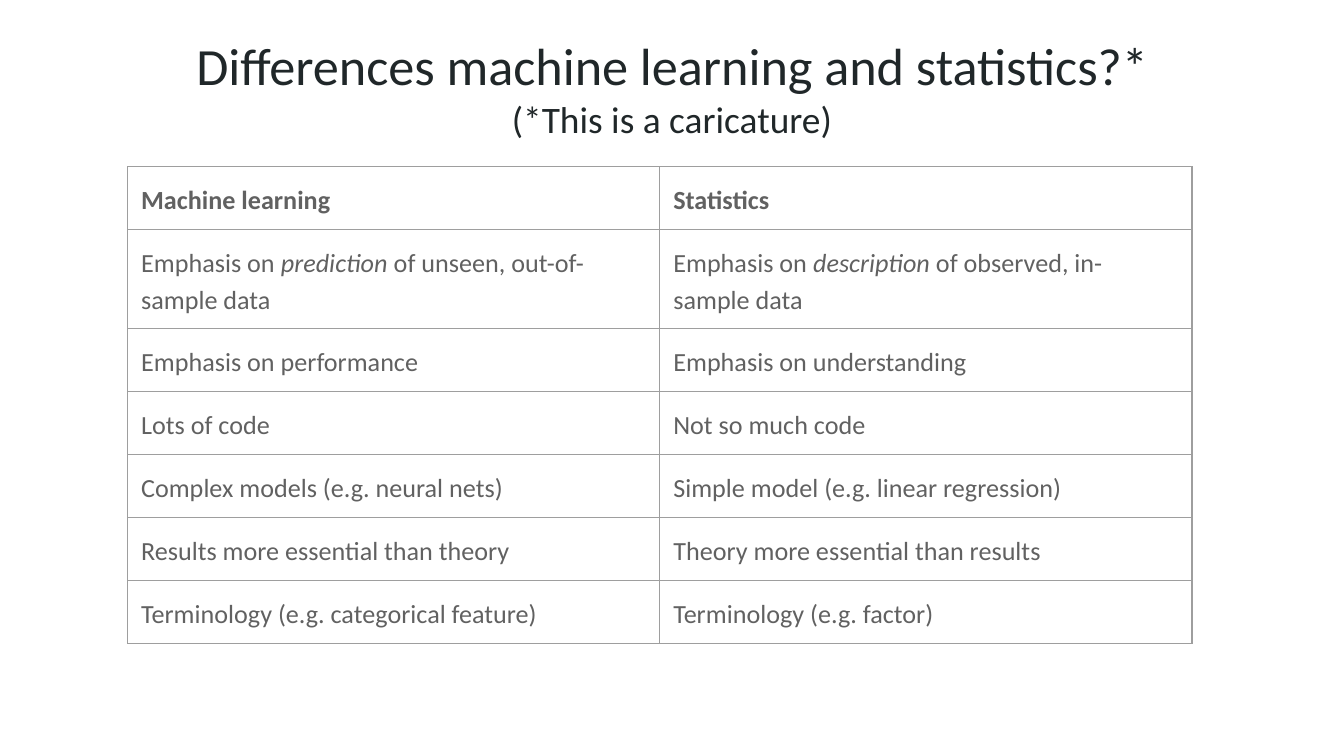
from dataclasses import dataclass

from lxml import etree
from pptx import Presentation
from pptx import util as u
from pptx.dml.color import RGBColor
from pptx.enum import text
from pptx.oxml import ns


@dataclass(frozen=True)
class Theme:
    font: str = "Calibri"
    title_color: str = "202729"
    body_color: str = "616161"
    border_color: str = "9E9E9E"
    background: str = "FFFFFF"
    title_size: float = 28
    subtitle_size: float = 20
    body_size: float = 14
    border_width: float = 0.75
    line_spacing: float = 1.15
    inset: float = 0.1


class SlideBuilder:
    def __init__(self, slide, theme):
        self.slide = slide
        self.theme = theme
        fill = slide.background.fill
        fill.solid()
        fill.fore_color.rgb = RGBColor.from_string(theme.background)

    def style(self, paragraph, size, color):
        paragraph.font.name = self.theme.font
        paragraph.font.size = u.Pt(size)
        paragraph.font.color.rgb = RGBColor.from_string(color)

    def set_margins(self, container):
        for side in ("left", "top", "right", "bottom"):
            setattr(container, f"margin_{side}", u.Inches(self.theme.inset))

    def title(self, lines, left, top, width, height):
        shape = self.slide.shapes.add_textbox(
            u.Inches(left), u.Inches(top), u.Inches(width), u.Inches(height))
        frame = shape.text_frame
        frame.word_wrap = True
        frame.vertical_anchor = text.MSO_ANCHOR.TOP
        self.set_margins(frame)
        frame.text = "\n".join(lines)
        sizes = (self.theme.title_size, self.theme.subtitle_size)
        for paragraph, size in zip(frame.paragraphs, sizes):
            paragraph.alignment = text.PP_ALIGN.CENTER
            self.style(paragraph, size, self.theme.title_color)

    def border(self, cell):
        properties = cell._tc.get_or_add_tcPr()
        for index, side in enumerate(("lnL", "lnR", "lnT", "lnB")):
            line = etree.Element(ns.qn(f"a:{side}"), w=str(u.Pt(self.theme.border_width)))
            fill = etree.SubElement(line, ns.qn("a:solidFill"))
            etree.SubElement(fill, ns.qn("a:srgbClr"), val=self.theme.border_color)
            properties.insert(index, line)

    def cell(self, cell, content, bold):
        self.set_margins(cell)
        cell.fill.background()
        self.border(cell)
        paragraph = cell.text_frame.paragraphs[0]
        paragraph.line_spacing = self.theme.line_spacing
        self.style(paragraph, self.theme.body_size, self.theme.body_color)
        paragraph.font.bold = bold
        for index, part in enumerate(content.split("_")):
            run = paragraph.add_run()
            run.text = part
            if index % 2:
                run.font.italic = True

    def table(self, rows, left, top, width, height, row_height):
        shape = self.slide.shapes.add_table(
            len(rows), len(rows[0]), u.Inches(left), u.Inches(top),
            u.Inches(width), u.Inches(height))
        table = shape.table
        table.first_row = False
        table.horz_banding = False
        for row_index, row in enumerate(rows):
            table.rows[row_index].height = u.Inches(row_height)
            for column_index, content in enumerate(row):
                self.cell(table.cell(row_index, column_index), content, row_index == 0)
        shape.height = u.Inches(height)


TITLE = ("Differences machine learning and statistics?*", "(*This is a caricature)")
COMPARISON = (
    ("Machine learning", "Statistics"),
    ("Emphasis on _prediction_ of unseen, out-of-sample data",
     "Emphasis on _description_ of observed, in-sample data"),
    ("Emphasis on performance", "Emphasis on understanding"),
    ("Lots of code", "Not so much code"),
    ("Complex models (e.g. neural nets)", "Simple model (e.g. linear regression)"),
    ("Results more essential than theory", "Theory more essential than results"),
    ("Terminology (e.g. categorical feature)", "Terminology (e.g. factor)"),
)


def main():
    presentation = Presentation()
    presentation.slide_width = u.Inches(10)
    presentation.slide_height = u.Inches(10 * 9 / 16)
    slide = presentation.slides.add_slide(presentation.slide_layouts[6])
    builder = SlideBuilder(slide, Theme())
    builder.title(TITLE, 0.34, 0.15, 9.32, 0.63)
    builder.table(COMPARISON, 0.95, 1.24, 7.92, 3.47, 0.42)
    presentation.save("out.pptx")


if __name__ == "__main__":
    main()
